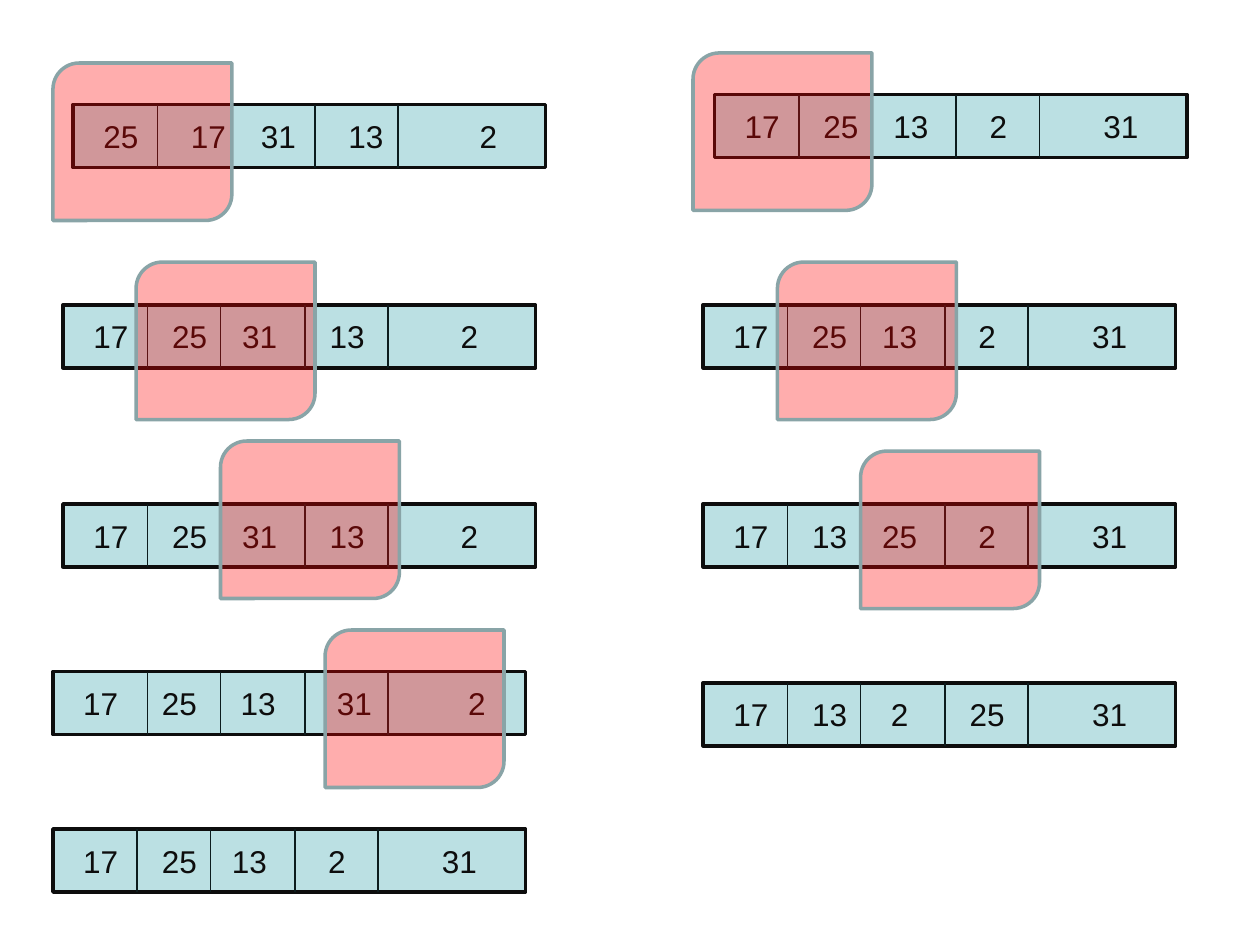
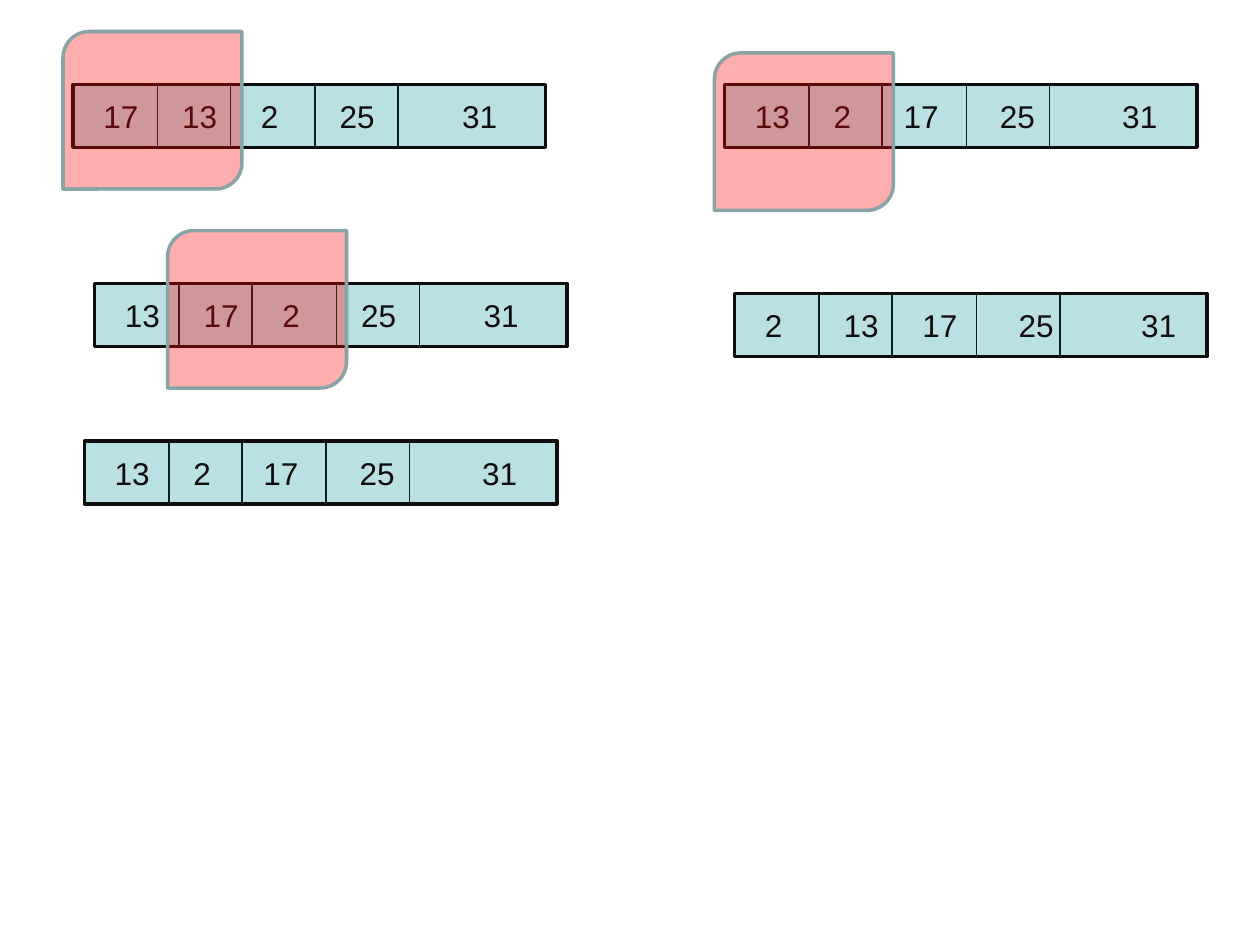
from dataclasses import dataclass
from typing import Optional

from lxml.etree import SubElement
from pptx import Presentation
from pptx.dml.color import RGBColor
from pptx.enum.shapes import MSO_CONNECTOR, MSO_SHAPE
from pptx.enum.text import MSO_ANCHOR, PP_ALIGN
from pptx.oxml.ns import qn
from pptx.util import Inches, Pt


@dataclass(frozen=True)
class Theme:
    font: str = "Arial"
    number_size: int = 18
    tab_unit: int = 5  # points, the width of one space at number_size
    ink: str = "0D0D0D"
    cell: str = "BBE0E3"
    divider: str = "0C1C1D"
    window: str = "FF0000"
    window_border: str = "89A4A7"
    window_opacity: int = 32
    border_width: float = 2
    divider_width: float = 1


@dataclass(frozen=True)
class Step:
    """One state of the array; stops are tab units from the first number."""
    left: float
    top: float
    numbers: str
    stops: tuple
    window: Optional[tuple] = None
    divider_shift: float = 0


BAR_WIDTH, BAR_HEIGHT = 3.75, 0.5
WINDOW_WIDTH, WINDOW_HEIGHT = 1.42, 1.25
TEXT_INSET = 0.24
DIVIDER_OFFSETS = (0.67, 1.25, 1.92, 2.58)

FIRST_PASSES = (
    Step(0.58, 0.83, "25 17 31 13 2", (10, 18, 28, 43), (0.42, 0.5)),
    Step(0.5, 2.42, "17 25 31 13 2", (9, 17, 27, 42), (1.08, 2.08)),
    Step(0.5, 4, "17 25 31 13 2", (9, 17, 27, 42), (1.75, 3.5)),
    Step(0.42, 5.33, "17 25 13 31 2", (9, 18, 29, 44), (2.58, 5), 0.08),
    Step(0.42, 6.58, "17 25 13 2 31", (9, 17, 28, 41)),
    Step(5.67, 0.75, "17 25 13 2 31", (9, 17, 28, 41), (5.5, 0.42)),
    Step(5.58, 2.42, "17 25 13 2 31", (9, 17, 28, 41), (6.17, 2.08)),
    Step(5.58, 4, "17 13 25 2 31", (9, 17, 28, 41), (6.83, 3.58)),
    Step(5.58, 5.42, "17 13 2 25 31", (9, 18, 27, 41)),
)
LAST_PASSES = (
    Step(0.58, 0.67, "17 13 2 25 31", (9, 18, 27, 41), (0.5, 0.25)),
    Step(0.75, 2.25, "13 17 2 25 31", (9, 18, 27, 41), (1.33, 1.83)),
    Step(0.67, 3.5, "13 2 17 25 31", (9, 17, 28, 42)),
    Step(5.75, 0.67, "13 2 17 25 31", (9, 17, 28, 42), (5.67, 0.42)),
    Step(5.83, 2.33, "2 13 17 25 31", (9, 18, 29, 43)),
)


def write_text(paragraph, text, *, font, size, color, align=PP_ALIGN.LEFT, tabs=()):
    paragraph.alignment = align
    if tabs:
        tab_list = SubElement(paragraph._p.get_or_add_pPr(), qn("a:tabLst"))
        for position in tabs:
            SubElement(tab_list, qn("a:tab"), pos=str(position), algn="l")
    run = paragraph.add_run()
    run.text = text
    run.font.name = font
    run.font.size = Pt(size)
    run.font.color.rgb = RGBColor.from_string(color)


class SlideBuilder:
    def __init__(self, presentation, theme):
        self.presentation = presentation
        self.theme = theme
        self.slide = None

    def new_slide(self):
        blank_layout = self.presentation.slide_layouts[6]
        self.slide = self.presentation.slides.add_slide(blank_layout)

    def set_line(self, line, color, width):
        line.color.rgb = RGBColor.from_string(color)
        line.width = Pt(width)

    def box(self, kind, left, top, width, height, fill, border):
        shape = self.slide.shapes.add_shape(
            kind, Inches(left), Inches(top), Inches(width), Inches(height))
        shape.shadow.inherit = False
        shape.fill.solid()
        shape.fill.fore_color.rgb = RGBColor.from_string(fill)
        self.set_line(shape.line, border, self.theme.border_width)
        return shape

    def bar(self, step):
        theme = self.theme
        shape = self.box(MSO_SHAPE.RECTANGLE, step.left, step.top,
                         BAR_WIDTH, BAR_HEIGHT, theme.cell, theme.ink)
        frame = shape.text_frame
        frame.word_wrap = True
        frame.vertical_anchor = MSO_ANCHOR.MIDDLE
        frame.margin_left = Inches(TEXT_INSET)
        write_text(frame.paragraphs[0], "\t".join(step.numbers.split()),
                   font=theme.font, size=theme.number_size, color=theme.ink,
                   tabs=[Pt(stop * theme.tab_unit) for stop in step.stops])

    def divider(self, x, top):
        line = self.slide.shapes.add_connector(
            MSO_CONNECTOR.STRAIGHT, Inches(x), Inches(top),
            Inches(x), Inches(top + BAR_HEIGHT))
        self.set_line(line.line, self.theme.divider, self.theme.divider_width)
        SubElement(line._element.spPr, qn("a:effectLst"))

    def window(self, left, top):
        """Mark the pair being compared."""
        theme = self.theme
        shape = self.box(MSO_SHAPE.ROUND_2_DIAG_RECTANGLE, left, top,
                         WINDOW_WIDTH, WINDOW_HEIGHT, theme.window, theme.window_border)
        color = shape._element.spPr.find(qn("a:solidFill")).find(qn("a:srgbClr"))
        SubElement(color, qn("a:alpha"), val=str(theme.window_opacity * 1000))

    def step(self, step):
        self.bar(step)
        for offset in DIVIDER_OFFSETS:
            self.divider(step.left + offset + step.divider_shift, step.top)
        if step.window:
            self.window(*step.window)


def main():
    presentation = Presentation()
    presentation.slide_width = Inches(10)
    presentation.slide_height = Inches(7.5)
    builder = SlideBuilder(presentation, Theme())
    for steps in (FIRST_PASSES, LAST_PASSES):
        builder.new_slide()
        for step in steps:
            builder.step(step)
    presentation.save("out.pptx")


if __name__ == "__main__":
    main()
